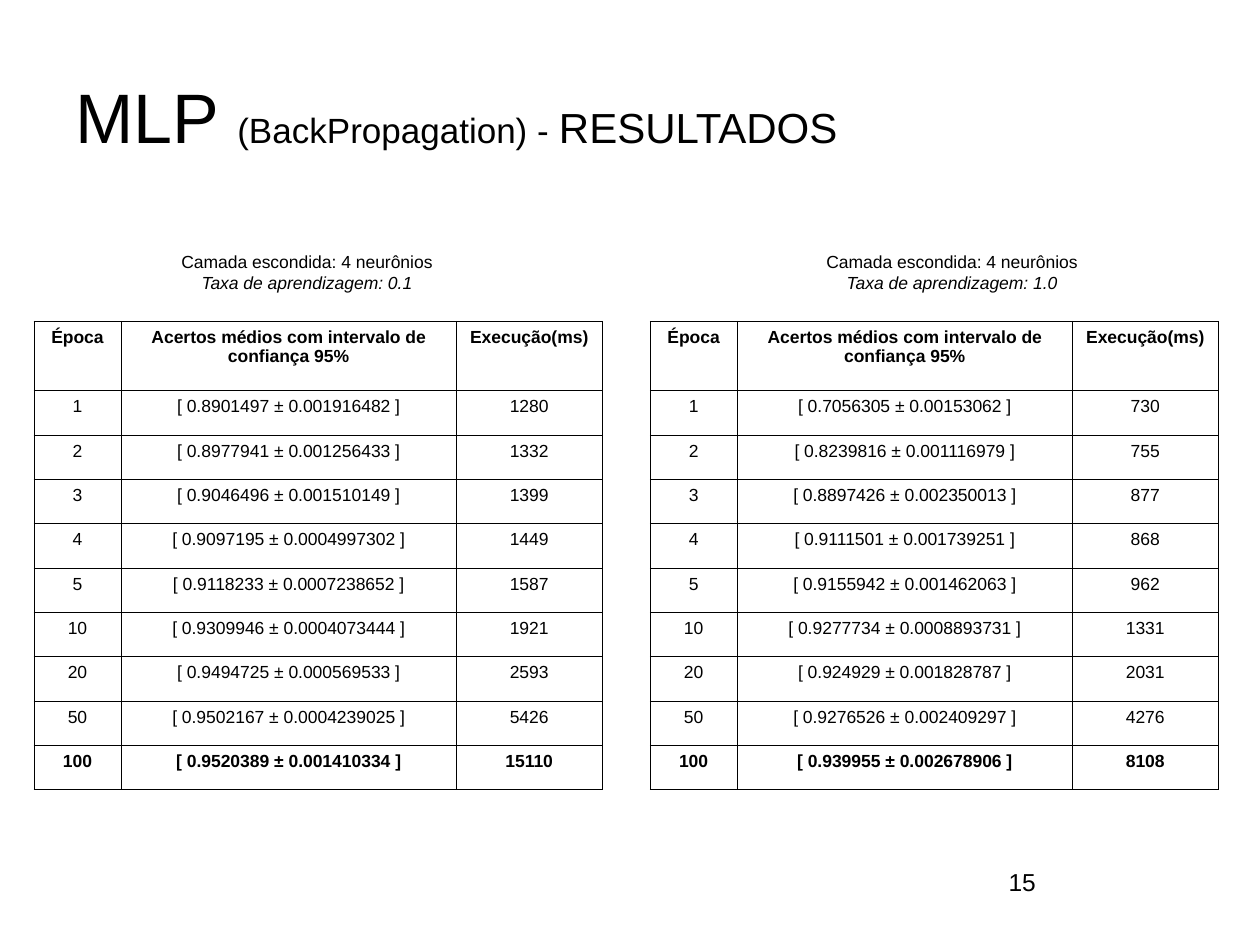
import dataclasses

import lxml.etree
import pptx
import pptx.dml.color
import pptx.enum.text
import pptx.oxml.ns
import pptx.util


@dataclasses.dataclass(frozen=True)
class Theme:
    font: str = "Arial"
    ink: str = "000000"
    title: int = 40
    method: int = 20
    heading: int = 24
    body: int = 10
    number: int = 14
    border: float = 0.45


theme = Theme()
align = pptx.enum.text.PP_ALIGN
qualified = pptx.oxml.ns.qn


def write(para, text, size=theme.body, bold=False, italic=False, alignment=align.CENTER):
    para.alignment = alignment
    span = para.add_run()
    span.text = text
    span.font.name = theme.font
    span.font.size = pptx.util.Pt(size)
    span.font.bold = bold
    span.font.italic = italic
    span.font.color.rgb = pptx.dml.color.RGBColor.from_string(theme.ink)


def add_border(cell):
    properties = cell._tc.get_or_add_tcPr()
    for position, side in enumerate(("lnL", "lnR", "lnT", "lnB")):
        line = lxml.etree.Element(qualified("a:" + side), w=str(pptx.util.Pt(theme.border)))
        fill = lxml.etree.SubElement(line, qualified("a:solidFill"))
        lxml.etree.SubElement(fill, qualified("a:srgbClr"), val=theme.ink)
        properties.insert(position, line)


deck = pptx.Presentation()
deck.slide_width = pptx.util.Inches(10)
deck.slide_height = pptx.util.Inches(7.5)
page = deck.slides.add_slide(deck.slide_layouts[6])
column = deck.slide_width // 100
row = deck.slide_height // 75

title_box = page.shapes.add_textbox(5 * column, int(4.5 * row), 90 * column, int(12.5 * row))
title_frame = title_box.text_frame
title_frame.word_wrap = True
title_frame.vertical_anchor = pptx.enum.text.MSO_ANCHOR.MIDDLE
title_frame.margin_bottom = int(3.7 * row)
for text, size in (
    ("MLP ", theme.title),
    ("(BackPropagation) - ", theme.method),
    ("RESULTADOS", theme.heading),
):
    write(title_frame.paragraphs[0], text, size=size, alignment=align.LEFT)

header = ("Época", "Acertos médios com intervalo de confiança 95%", "Execução(ms)")
epochs = (1, 2, 3, 4, 5, 10, 20, 50, 100)
column_spans = (6.9, 26.6, 11.6)
row_spans = (5.5,) + (3.52,) * len(epochs)
experiments = (
    ("0.1", 5, 2.7, (
        ("0.8901497 ± 0.001916482", 1280),
        ("0.8977941 ± 0.001256433", 1332),
        ("0.9046496 ± 0.001510149", 1399),
        ("0.9097195 ± 0.0004997302", 1449),
        ("0.9118233 ± 0.0007238652", 1587),
        ("0.9309946 ± 0.0004073444", 1921),
        ("0.9494725 ± 0.000569533", 2593),
        ("0.9502167 ± 0.0004239025", 5426),
        ("0.9520389 ± 0.001410334", 15110),
    )),
    ("1.0", 56.2, 51.6, (
        ("0.7056305 ± 0.00153062", 730),
        ("0.8239816 ± 0.001116979", 755),
        ("0.8897426 ± 0.002350013", 877),
        ("0.9111501 ± 0.001739251", 868),
        ("0.9155942 ± 0.001462063", 962),
        ("0.9277734 ± 0.0008893731", 1331),
        ("0.924929 ± 0.001828787", 2031),
        ("0.9276526 ± 0.002409297", 4276),
        ("0.939955 ± 0.002678906", 8108),
    )),
)

for rate, caption_left, table_left, results in experiments:
    caption_box = page.shapes.add_textbox(
        int(caption_left * column), int(19.4 * row), int(38.7 * column), int(4.4 * row)
    )
    caption_frame = caption_box.text_frame
    caption_frame.word_wrap = True
    write(caption_frame.paragraphs[0], "Camada escondida: 4 neurônios")
    write(caption_frame.add_paragraph(), f"Taxa de aprendizagem: {rate}", italic=True)

    lines = [header] + [
        (str(epoch), f"[ {interval} ]", str(duration))
        for epoch, (interval, duration) in zip(epochs, results)
    ]
    table = page.shapes.add_table(
        len(lines), len(header),
        int(table_left * column), int(25.5 * row),
        int(sum(column_spans) * column), int(sum(row_spans) * row),
    ).table
    table.first_row = False
    table.horz_banding = False
    for index, share in enumerate(column_spans):
        table.columns[index].width = int(share * column)
    for index, (share, values) in enumerate(zip(row_spans, lines)):
        table.rows[index].height = int(share * row)
        for cell, value in zip(table.rows[index].cells, values):
            cell.fill.background()
            add_border(cell)
            write(cell.text_frame.paragraphs[0], value, bold=index in (0, len(epochs)))

number_box = page.shapes.add_textbox(
    int(76.8 * column), int(68.3 * row), int(6.4 * column), int(5.2 * row)
)
number_box.text_frame.word_wrap = True
write(number_box.text_frame.paragraphs[0], "15", size=theme.number, alignment=align.RIGHT)

deck.save("out.pptx")
